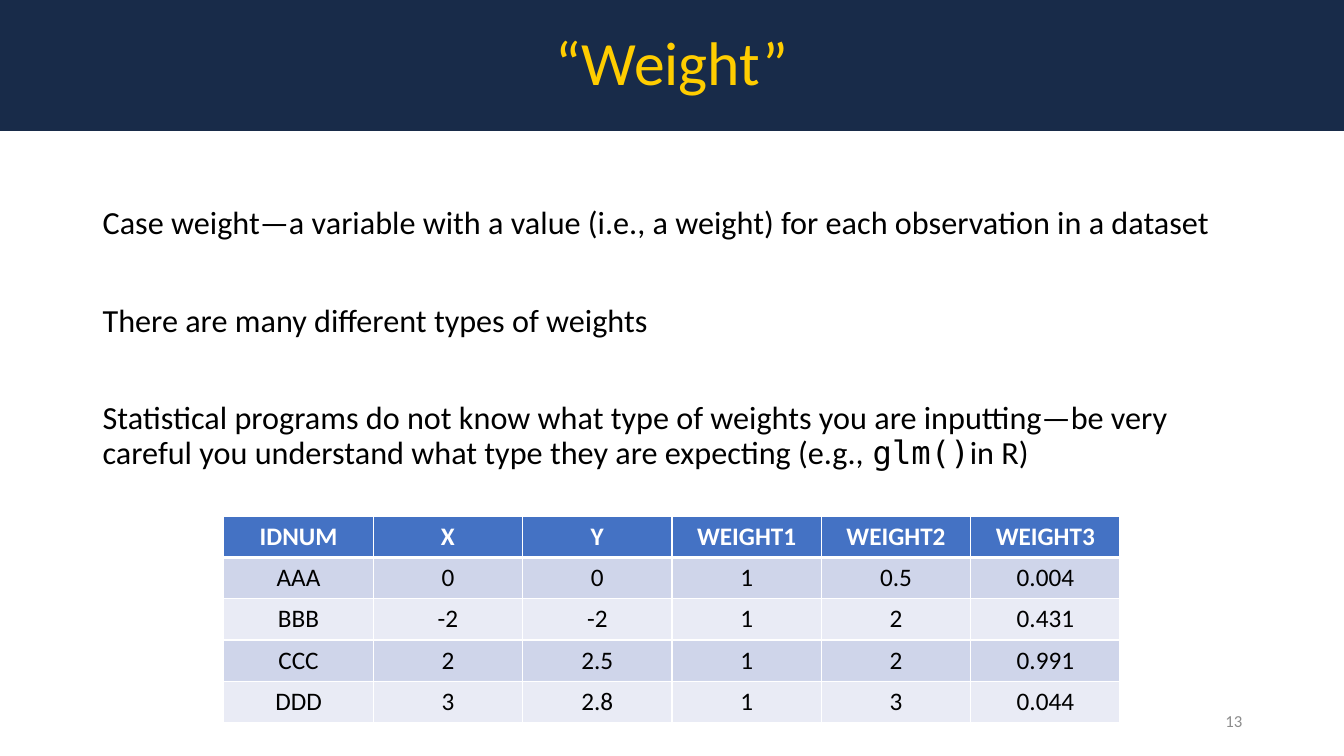
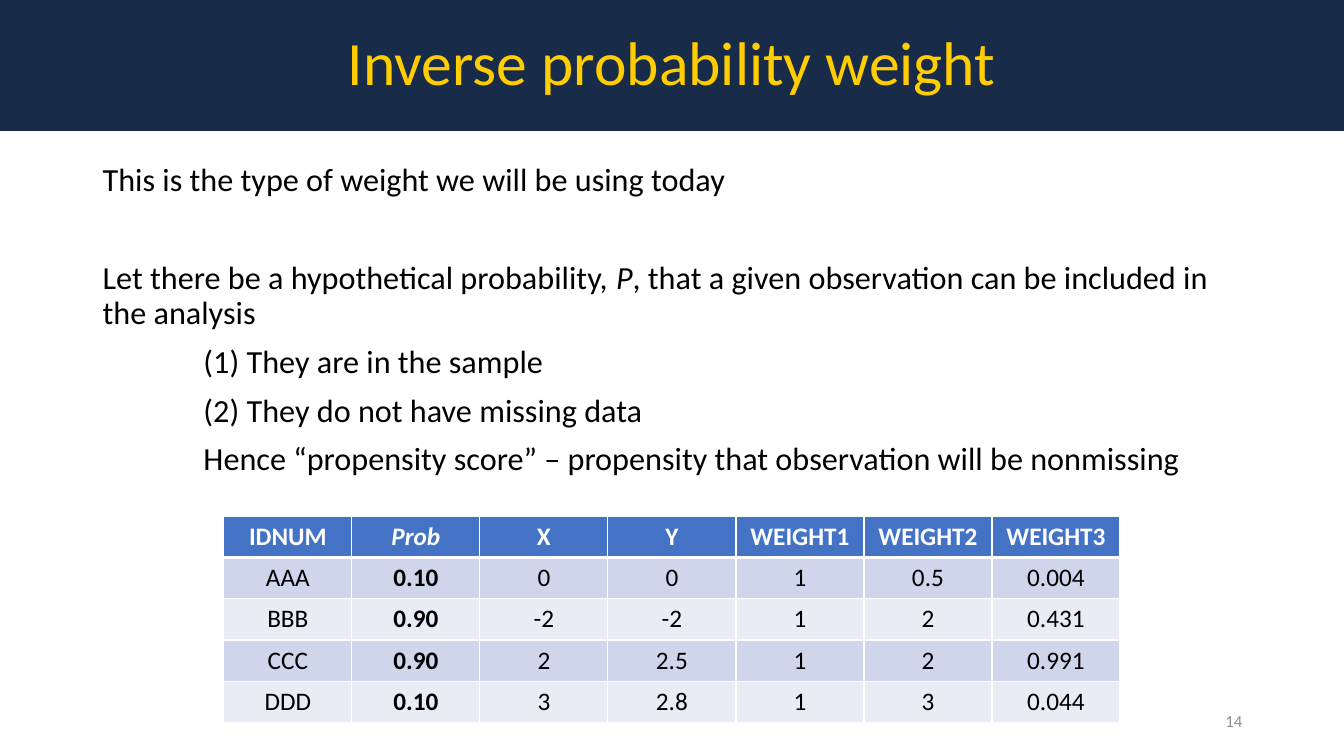
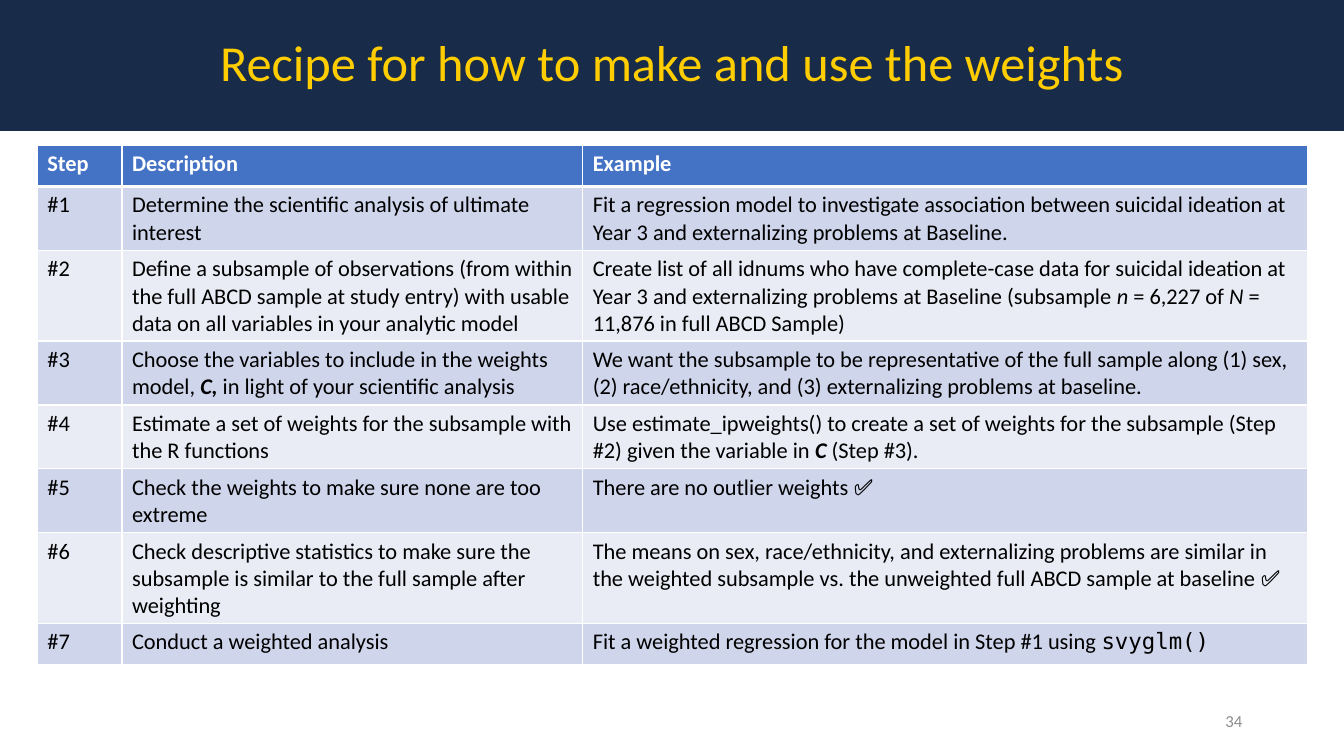
from lxml.etree import SubElement
from pptx import Presentation
from pptx.dml.color import RGBColor
from pptx.enum.shapes import MSO_SHAPE as Preset
from pptx.enum.text import MSO_ANCHOR as Anchor, PP_ALIGN as Align
from pptx.oxml.ns import qn
from pptx.util import Inches, Pt

NAVY = RGBColor(0x18, 0x2B, 0x49)
GOLD = RGBColor(0xFF, 0xCD, 0x00)
GRAY = RGBColor(0x8C, 0x8C, 0x8C)
BLACK = RGBColor(0x00, 0x00, 0x00)
WHITE = RGBColor(0xFF, 0xFF, 0xFF)
HEADER_BLUE = RGBColor(0x44, 0x72, 0xC4)
BANDS = (RGBColor(0xE9, 0xEB, 0xF5), RGBColor(0xCF, 0xD5, 0xEA))

WIDTH, HEIGHT = 13.33, 7.5
ROW_HEIGHT = 0.41
BLOCK_GAP = 45
LINE_GAP = 10


class Deck:
    font = "Calibri"
    code_font = "DejaVu Sans Mono"

    def __init__(self):
        self.presentation = Presentation()
        self.presentation.slide_width = Inches(WIDTH)
        self.presentation.slide_height = Inches(HEIGHT)
        self.slide = None

    def add_slide(self, title, number, title_size=44):
        self.slide = self.presentation.slides.add_slide(self.presentation.slide_layouts[6])
        self.title_band(title, title_size)
        self.slide_number(number)

    def add_runs(self, paragraph, pieces, size, color, bold=False):
        for piece in [pieces] if isinstance(pieces, str) else pieces:
            text, style = (piece, "") if isinstance(piece, str) else piece
            run = paragraph.add_run()
            run.text = text
            run.font.name = self.code_font if style == "code" else self.font
            run.font.size = Pt(size)
            run.font.color.rgb = color
            run.font.bold = bold or "bold" in style
            run.font.italic = "italic" in style

    def title_band(self, title, size):
        band = self.slide.shapes.add_shape(
            Preset.RECTANGLE, 0, 0, Inches(WIDTH), Inches(1.3))
        band.shadow.inherit = False
        band.fill.solid()
        band.fill.fore_color.rgb = NAVY
        band.line.fill.background()
        band.text_frame.vertical_anchor = Anchor.MIDDLE
        paragraph = band.text_frame.paragraphs[0]
        paragraph.alignment = Align.CENTER
        paragraph.line_spacing = 0.9
        self.add_runs(paragraph, title, size, GOLD)

    def text_frame(self, left, top, width, height):
        box = self.slide.shapes.add_textbox(
            Inches(left), Inches(top), Inches(width), Inches(height))
        box.text_frame.word_wrap = True
        return box.text_frame

    def slide_number(self, number):
        frame = self.text_frame(9.42, 6.95, 3, 0.4)
        frame.vertical_anchor = Anchor.MIDDLE
        frame.paragraphs[0].alignment = Align.RIGHT
        self.add_runs(frame.paragraphs[0], str(number), 12, GRAY)

    def body(self, top, lines):
        frame = self.text_frame(0.92, top, 11.5, 4.76)
        for index, (pieces, gap, indent) in enumerate(lines):
            paragraph = frame.add_paragraph() if index else frame.paragraphs[0]
            paragraph.line_spacing = 0.9
            paragraph.space_before = Pt(gap)
            paragraph._p.get_or_add_pPr().set("marL", str(Inches(indent)))
            self.add_runs(paragraph, pieces, 23, BLACK)

    def borders(self, cell, top, bottom):
        properties = cell._tc.get_or_add_tcPr()
        for side, width in (("L", 1), ("R", 1), ("T", top), ("B", bottom)):
            line = SubElement(properties, qn(f"a:ln{side}"), w=str(Pt(width)))
            fill = SubElement(line, qn("a:solidFill"))
            SubElement(fill, qn("a:srgbClr"), val=str(WHITE))

    def table(self, left, top, column_widths, rows, size, alignment):
        table = self.slide.shapes.add_table(
            len(rows), len(column_widths), Inches(left), Inches(top),
            Inches(sum(column_widths)), Inches(ROW_HEIGHT * len(rows))).table
        table.horz_banding = False
        for column, width in zip(table.columns, column_widths):
            column.width = Inches(width)
        for row_index, row in enumerate(rows):
            header = row_index == 0
            for column_index, pieces in enumerate(row):
                cell = table.cell(row_index, column_index)
                self.borders(cell, 3 if row_index == 1 else 1, 3 if header else 1)
                cell.fill.solid()
                cell.fill.fore_color.rgb = HEADER_BLUE if header else BANDS[row_index % 2]
                paragraph = cell.text_frame.paragraphs[0]
                paragraph.alignment = alignment
                self.add_runs(paragraph, pieces, size, WHITE if header else BLACK, header)

    def data_table(self, rows):
        count = len(rows[0])
        self.table(2.22, 5.12, [8.89 / count] * count, rows, 18, Align.CENTER)


WEIGHTS = [
    ["IDNUM", "X", "Y", "WEIGHT1", "WEIGHT2", "WEIGHT3"],
    ["AAA", "0", "0", "1", "0.5", "0.004"],
    ["BBB", "-2", "-2", "1", "2", "0.431"],
    ["CCC", "2", "2.5", "1", "2", "0.991"],
    ["DDD", "3", "2.8", "1", "3", "0.044"],
]
PROBABILITIES = [("Prob", "italic")] + [
    (value, "bold") for value in ("0.10", "0.90", "0.90", "0.10")]
CHECK = ("✅", "bold")
RECIPE = [
    ("Step", "Description", "Example"),
    ("#1", "Determine the scientific analysis of ultimate interest",
     "Fit a regression model to investigate association between suicidal ideation "
     "at Year 3 and externalizing problems at Baseline."),
    ("#2", "Define a subsample of observations (from within the full ABCD sample "
     "at study entry) with usable data on all variables in your analytic model",
     ["Create list of all idnums who have complete-case data for suicidal ideation "
      "at Year 3 and externalizing problems at Baseline (subsample ",
      ("n ", "italic"), "= 6,227 of ", ("N", "italic"),
      " = 11,876 in full ABCD Sample)"]),
    ("#3", ["Choose the variables to include in the weights model, ",
            ("C, ", "bold italic"), "in light of your scientific analysis"],
     "We want the subsample to be representative of the full sample along (1) sex, "
     "(2) race/ethnicity, and (3) externalizing problems at baseline."),
    ("#4", "Estimate a set of weights for the subsample with the R functions",
     ["Use estimate_ipweights() to create a set of weights for the subsample "
      "(Step #2) given the variable in ", ("C ", "bold italic"), "(Step #3)."]),
    ("#5", "Check the weights to make sure none are too extreme",
     ["There are no outlier weights ", CHECK]),
    ("#6", "Check descriptive statistics to make sure the subsample is similar "
     "to the full sample after weighting",
     ["The means on sex, race/ethnicity, and externalizing problems are similar in "
      "the weighted subsample vs. the unweighted full ABCD sample at baseline ", CHECK]),
    ("#7", "Conduct a weighted analysis",
     ["Fit a weighted regression for the model in Step #1 using ", ("svyglm()", "code")]),
]


def main():
    deck = Deck()

    deck.add_slide("“Weight”", 13)
    deck.body(2, [
        ("Case weight—a variable with a value (i.e., a weight) for each observation "
         "in a dataset", LINE_GAP, 0),
        ("There are many different types of weights", BLOCK_GAP, 0),
        (["Statistical programs do not know what type of weights you are inputting—be "
          "very careful you understand what type they are expecting (e.g., ",
          ("glm()", "code"), "in R)"], BLOCK_GAP, 0),
    ])
    deck.data_table(WEIGHTS)

    deck.add_slide("Inverse probability weight", 14)
    deck.body(1.58, [
        ("This is the type of weight we will be using today", LINE_GAP, 0),
        (["Let there be a hypothetical probability, ", ("P", "italic"),
          ", that a given observation can be included in the analysis"], BLOCK_GAP, 0),
        ("(1) They are in the sample", LINE_GAP, 1),
        ("(2) They do not have missing data", LINE_GAP, 1),
        ("Hence “propensity score” – propensity that observation will be nonmissing",
         LINE_GAP, 1),
    ])
    deck.data_table([[row[0], [probability], *row[1:]]
                     for row, probability in zip(WEIGHTS, PROBABILITIES)])

    deck.add_slide("Recipe for how to make and use the weights", 34, 36)
    deck.table(0.37, 1.44, [0.84, 4.57, 7.19], RECIPE, 16, Align.LEFT)

    deck.presentation.save("out.pptx")


if __name__ == "__main__":
    main()
